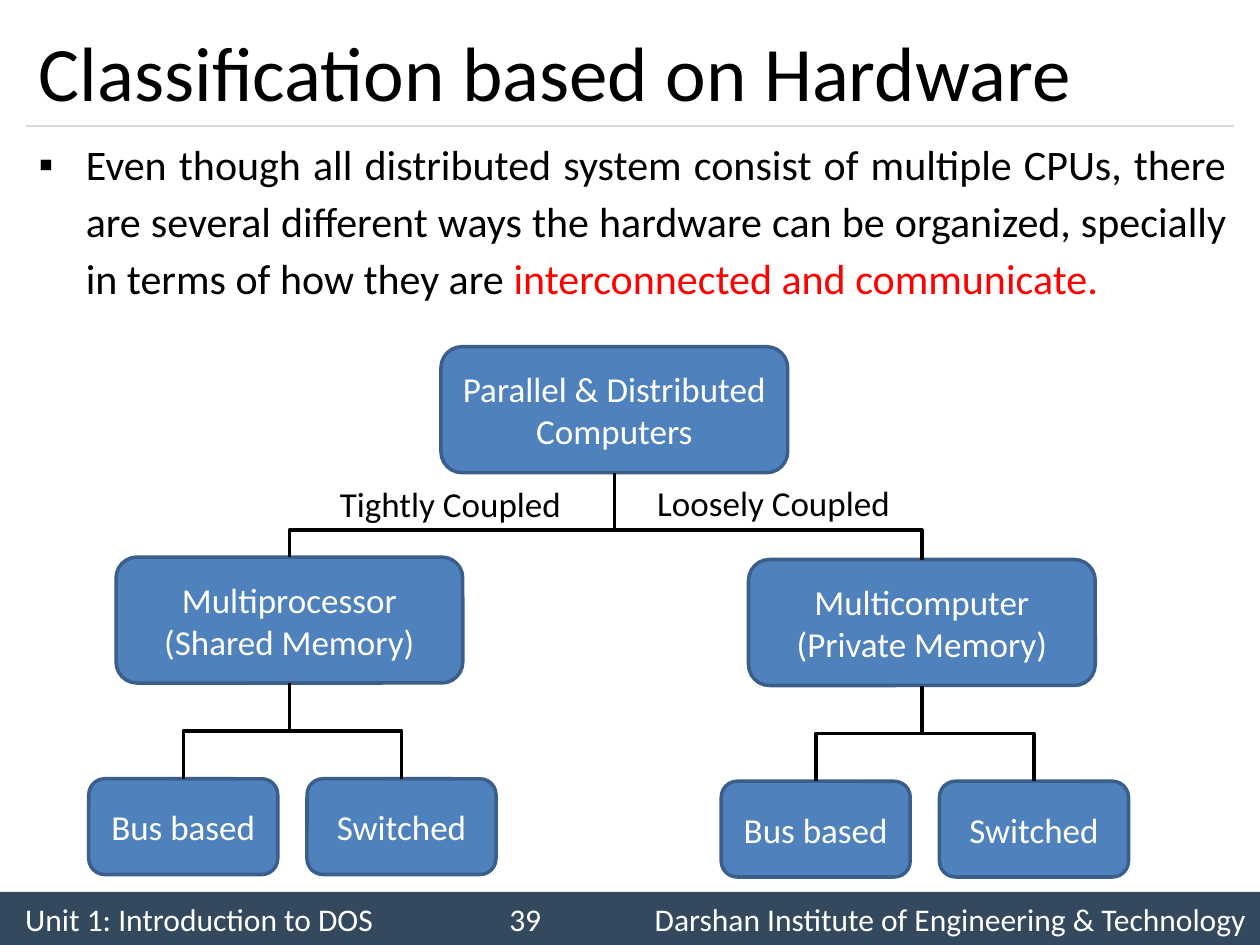
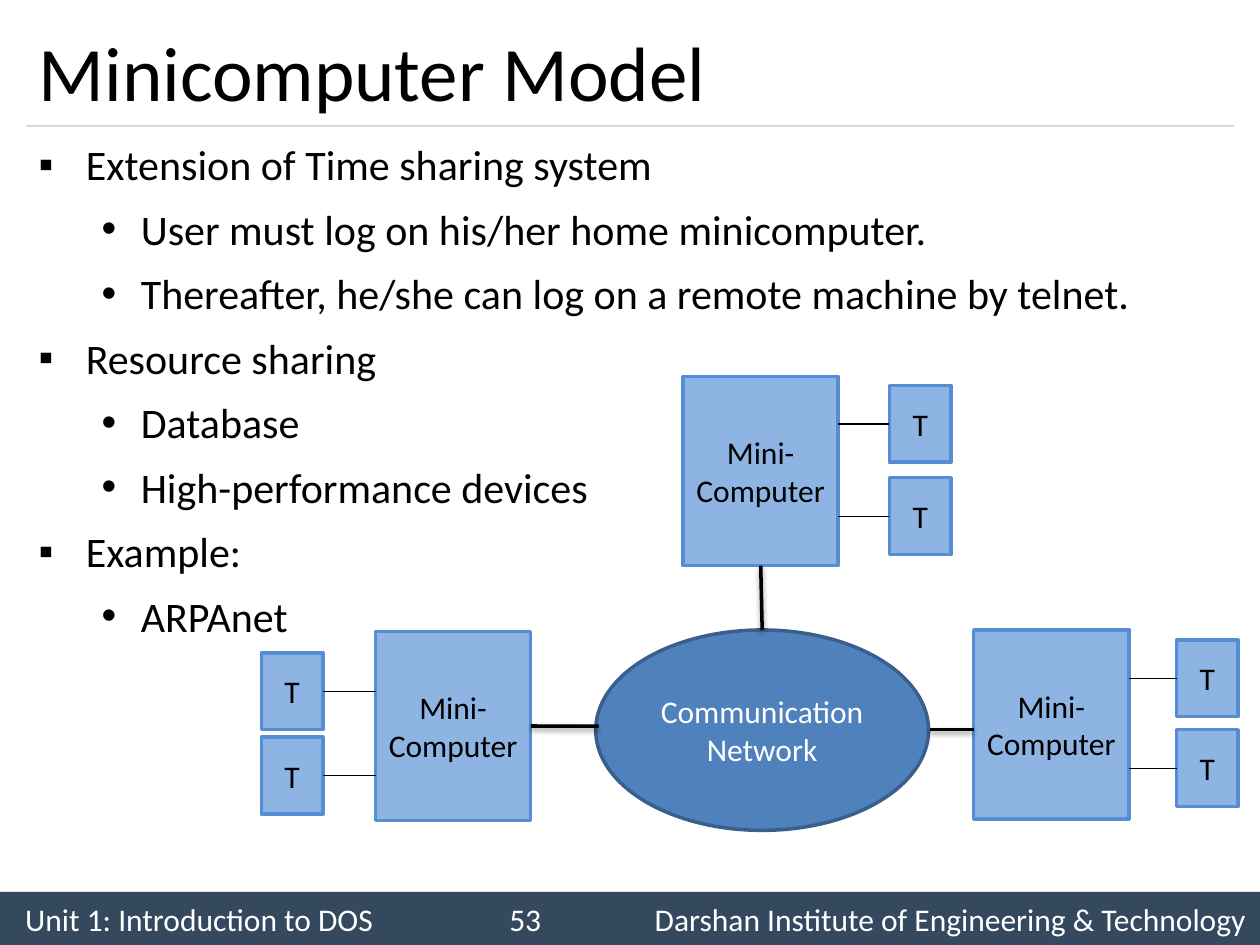
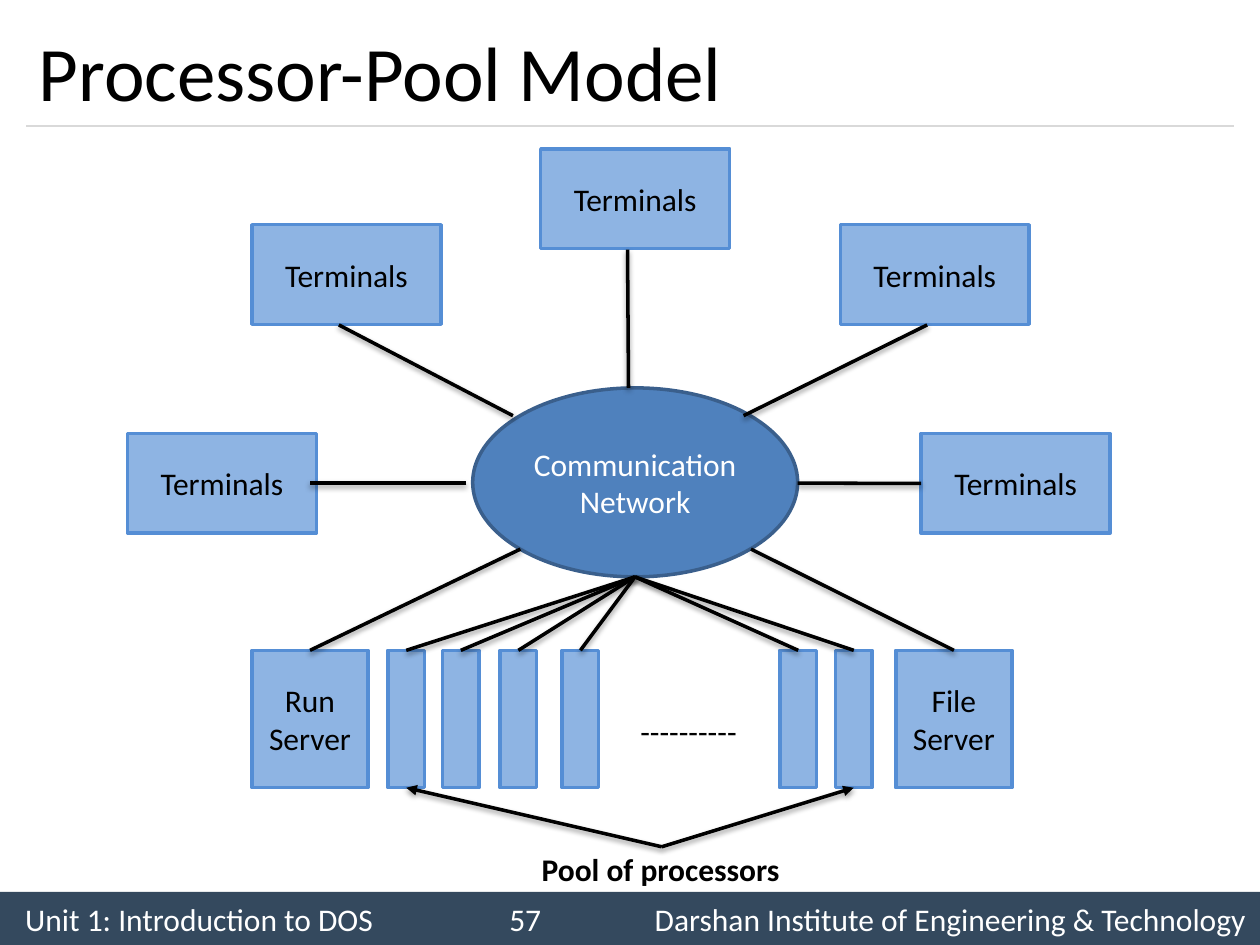
"""Build three slides on distributed system models with shared styling."""
from lxml.etree import SubElement
from pptx import Presentation
from pptx.dml.color import RGBColor
from pptx.enum.shapes import MSO_CONNECTOR as CXN, MSO_SHAPE as SHAPE
from pptx.enum.text import MSO_ANCHOR as ANCHOR, PP_ALIGN as ALIGN
from pptx.oxml.ns import qn
from pptx.util import Cm, Pt

FONT = "Calibri"
COLORS = {
    "text": "000000", "light": "FFFFFF", "accent": "FF0000",
    "band": "34495E", "rule": "D9D9D9",
    "node": "4F81BD", "node_line": "3A5F8C",
    "box": "8EB4E3", "box_line": "558ED5",
}
BULLETS = [("▪", 0.95, -0.95), ("•", 2.06, -0.79)]
TOP, LEFT, BOTTOM, RIGHT = range(4)


def rgb(name):
    return RGBColor.from_string(COLORS[name])


def add(parent, tag, **attrs):
    return SubElement(parent, qn(tag), {k: str(v) for k, v in attrs.items()})


class Deck:
    def __init__(self):
        self.prs = Presentation()
        self.prs.slide_width, self.prs.slide_height = Cm(25.4), Cm(19.05)
        self.s = None

    def slide(self, title, number):
        self.s = self.prs.slides.add_slide(self.prs.slide_layouts[6])
        band = self.shape(SHAPE.RECTANGLE, 0, 17.98, 25.4, 1.07, fill="band")
        tf = band.text_frame
        tf.margin_left, tf.margin_right = Cm(0.51), 0
        p = tf.paragraphs[0]
        p.text = f"Unit 1: Introduction to DOS\t{number}\tDarshan Institute of Engineering & Technology"
        tabs = add(p._p.get_or_add_pPr(), "a:tabLst")
        for pos, algn in ((10.08, "ctr"), (24.61, "r")):
            add(tabs, "a:tab", pos=Cm(pos), algn=algn)
        self.style(p, 18, "light")
        p.alignment = ALIGN.LEFT
        self.line((0.53, 2.54), (24.87, 2.54), 0.75, "rule")
        self.text(title, 0.53, 0.3, 24.33, 2.24, 44, anchor=ANCHOR.MIDDLE)

    def style(self, p, size, color, bold=False):
        f = p.font
        f.name, f.size, f.bold = FONT, Pt(size), bold
        f.color.rgb = rgb(color)

    def fill_text(self, tf, text, size, color, align, bold=False):
        tf.word_wrap = True
        for i, line in enumerate(text.split("\n")):
            p = tf.add_paragraph() if i else tf.paragraphs[0]
            p.text, p.alignment = line, align
            self.style(p, size, color, bold)

    def text(self, text, x, y, w, h, size, align=ALIGN.LEFT, bold=False, anchor=ANCHOR.TOP):
        tf = self.s.shapes.add_textbox(Cm(x), Cm(y), Cm(w), Cm(h)).text_frame
        tf.vertical_anchor = anchor
        self.fill_text(tf, text, size, "text", align, bold)

    def bullets(self, items, align=ALIGN.LEFT):
        tf = self.s.shapes.add_textbox(Cm(0.53), Cm(2.54), Cm(24.45), Cm(14.9)).text_frame
        tf.word_wrap = True
        for i, (level, *runs) in enumerate(items):
            p = tf.add_paragraph() if i else tf.paragraphs[0]
            char, margin, indent = BULLETS[level]
            p.level, p.alignment, p.line_spacing = level, align, 1.13
            if i:
                p.space_before = Pt(4.3)
            pPr = p._p.get_or_add_pPr()
            pPr.set("marL", str(Cm(margin)))
            pPr.set("indent", str(Cm(indent)))
            add(pPr, "a:buFont", typeface="Arial")
            add(pPr, "a:buChar", char=char)
            self.style(p, 24, "text")
            for j, text in enumerate(runs):
                r = p.add_run()
                r.text = text
                if j:
                    r.font.color.rgb = rgb("accent")

    def shape(self, kind, x, y, w, h, text="", size=18, fill="box", color="text"):
        sp = self.s.shapes.add_shape(kind, Cm(x), Cm(y), Cm(w), Cm(h))
        sp.shadow.inherit = False
        sp.fill.solid()
        sp.fill.fore_color.rgb = rgb(fill)
        if fill + "_line" in COLORS:
            sp.line.color.rgb = rgb(fill + "_line")
            sp.line.width = Pt(2)
        else:
            sp.line.fill.background()
        if text:
            self.fill_text(sp.text_frame, text, size, color, ALIGN.CENTER)
        return sp

    def box(self, x, y, w, h, text=""):
        return self.shape(SHAPE.RECTANGLE, x, y, w, h, text)

    def node(self, x, y, w, h, text):
        return self.shape(SHAPE.ROUNDED_RECTANGLE, x, y, w, h, text, 20, "node", "light")

    def network(self, x, y, w, h):
        return self.shape(SHAPE.OVAL, x, y, w, h, "Communication\nNetwork", 18, "node", "light")

    def pen(self, sp, width, color="text"):
        sp.line.color.rgb = rgb(color)
        sp.line.width = Pt(width)

    def line(self, start, end, width=2.0, color="text", shadow=False, arrow=False):
        ends = [(0, 0) if isinstance(e[0], type(self.s.shapes[0])) else e
                for e in (start, end)] if len(self.s.shapes) else [start, end]
        c = self.s.shapes.add_connector(CXN.STRAIGHT, *(Cm(v) for e in ends for v in e))
        for e, xy, connect in zip((start, end), ends, (c.begin_connect, c.end_connect)):
            if e is not xy:
                connect(*e)
        self.pen(c, width, color)
        if arrow:
            add(c.line._get_or_add_ln(), "a:tailEnd", type="triangle")
        effects = add(c._element.spPr, "a:effectLst")
        if shadow:
            shade = add(effects, "a:outerShdw", blurRad=Pt(3.1), dist=Pt(1.6),
                        dir=5400000, rotWithShape=0)
            add(add(shade, "a:srgbClr", val=COLORS["text"]), "a:alpha", val=38000)

    def link(self, start, end, arrow=False):
        self.line(start, end, shadow=True, arrow=arrow)

    def elbow(self, x1, y1, x2, y2):
        mx, my = (x1 + x2) / 2, (y1 + y2) / 2
        half_w, half_h = abs(x2 - x1) / 2, (y2 - y1) / 2
        if x2 > x1:
            half_h, turn = -half_h, 270
        else:
            turn = 90
        c = self.s.shapes.add_connector(CXN.ELBOW, Cm(mx - half_h), Cm(my - half_w),
                                        Cm(mx + half_h), Cm(my + half_w))
        c._element.spPr.find(qn("a:xfrm")).set("rot", str(turn * 60000))
        self.pen(c, 2)
        add(c._element.spPr, "a:effectLst")

    def polyline(self, *points):
        (x, y), *rest = [(Cm(px), Cm(py)) for px, py in points]
        fb = self.s.shapes.build_freeform(x, y)
        fb.add_line_segments(rest, close=False)
        sp = fb.convert_to_shape()
        sp.shadow.inherit = False
        sp.fill.background()
        self.pen(sp, 2)


def hardware(d):
    d.slide("Classification based on Hardware", 39)
    d.bullets([(0, "Even though all distributed system consist of multiple CPUs, there are several "
                   "different ways the hardware can be organized, specially in terms of how they are ",
                "interconnected and communicate.")], ALIGN.JUSTIFY)
    w, h, leaf_w, leaf_h = 6.99, 2.54, 3.81, 1.93
    root_x, root_y = 8.89, 6.99
    d.node(root_x, root_y, w, h, "Parallel & Distributed Computers")
    for x, y, name in ((2.34, 11.23, "Multiprocessor (Shared Memory)"),
                       (15.09, 11.28, "Multicomputer\n(Private Memory)")):
        d.node(x, y, w, h, name)
        mid, root_mid = x + w / 2, root_x + w / 2
        d.polyline((root_mid, root_y + h), (root_mid, 10.69), (mid, 10.69), (mid, y))
        for offset, leaf in ((-0.55, "Bus based"), (3.85, "Switched")):
            leaf_y = y + 4.47
            d.node(x + offset, leaf_y, leaf_w, leaf_h, leaf)
            d.elbow(mid, y + h, x + offset + leaf_w / 2, leaf_y)
    d.text("Tightly Coupled", 6.6, 9.6, 5, 1.12, 20)
    d.text("Loosely Coupled", 13, 9.58, 5.72, 1.12, 20)


def minicomputer(d):
    d.slide("Minicomputer Model", 53)
    d.bullets([
        (0, "Extension of Time sharing system"),
        (1, "User must log on his/her home minicomputer."),
        (1, "Thereafter, he/she can log on a remote machine by telnet."),
        (0, "Resource sharing"),
        (1, "Database"),
        (1, "High-performance devices"),
        (0, "Example:"),
        (1, "ARPAnet"),
    ])
    network = d.network(12.01, 12.7, 6.71, 4.04)
    w, h, term_w, term_h = 3.13, 3.81, 1.24, 1.55
    minis = []
    for x, y, term_x, term_ys in ((7.57, 12.73, 5.27, (13.16, 14.86)),
                                  (19.63, 12.7, 23.72, (12.9, 14.71)),
                                  (13.77, 7.59, 17.93, (7.77, 9.63))):
        minis.append(d.box(x, y, w, h, "Mini-Computer"))
        edge, side = (x, RIGHT) if term_x < x else (x + w, LEFT)
        for term_y in term_ys:
            terminal = d.box(term_x, term_y, term_w, term_h, "T")
            d.line((edge, term_y + term_h / 2), (terminal, side), 0.75)
    left, _, top = minis
    d.link((18.75, 14.71), (19.63, 14.71))
    d.link((12.07, 14.64), (left, RIGHT))
    d.link((network, TOP), (top, BOTTOM))


def processor_pool(d):
    d.slide("Processor-Pool Model", 57)
    d.network(9.53, 7.82, 6.55, 3.81)
    terminals = [d.box(x, y, 3.81, 2.01, "Terminals")
                 for x, y in ((2.57, 8.74), (5.08, 4.53), (10.9, 3), (16.94, 4.53), (18.57, 8.74))]
    for start, end in (((6.83, 6.55), (10.34, 8.38)),
                       ((12.65, 5.03), (12.67, 7.82)),
                       ((18.69, 6.55), (14.99, 8.38)),
                       ((9.4, 9.74), (6.25, 9.74)),
                       ((16.08, 9.74), (terminals[-1], LEFT))):
        d.link(start, end)
    row_y, row_h = 13.11, 2.77
    for x, name, start in ((5.08, "Run\nServer", (10.49, 11.07)),
                           (18.06, "File\nServer", (15.14, 11.07))):
        d.link(start, (d.box(x, row_y, 2.34, row_h, name), TOP))
    processors = [d.box(x, row_y, 0.74, row_h)
                  for x in (7.82, 8.92, 10.08, 11.33, 15.72, 16.84)]
    for processor in processors:
        d.link((12.8, 11.63), (processor, TOP))
    d.text("----------", 12.19, 14.27, 3.38, 0.91, 18, ALIGN.CENTER, anchor=ANCHOR.MIDDLE)
    d.text("Pool of processors", 10.36, 17.07, 5.92, 0.91, 18, ALIGN.CENTER, True, ANCHOR.MIDDLE)
    for processor in (processors[0], processors[-1]):
        d.link((13.34, 17.07), (processor, BOTTOM), arrow=True)


def main():
    d = Deck()
    for build in (hardware, minicomputer, processor_pool):
        build(d)
    d.prs.save("out.pptx")


if __name__ == "__main__":
    main()
